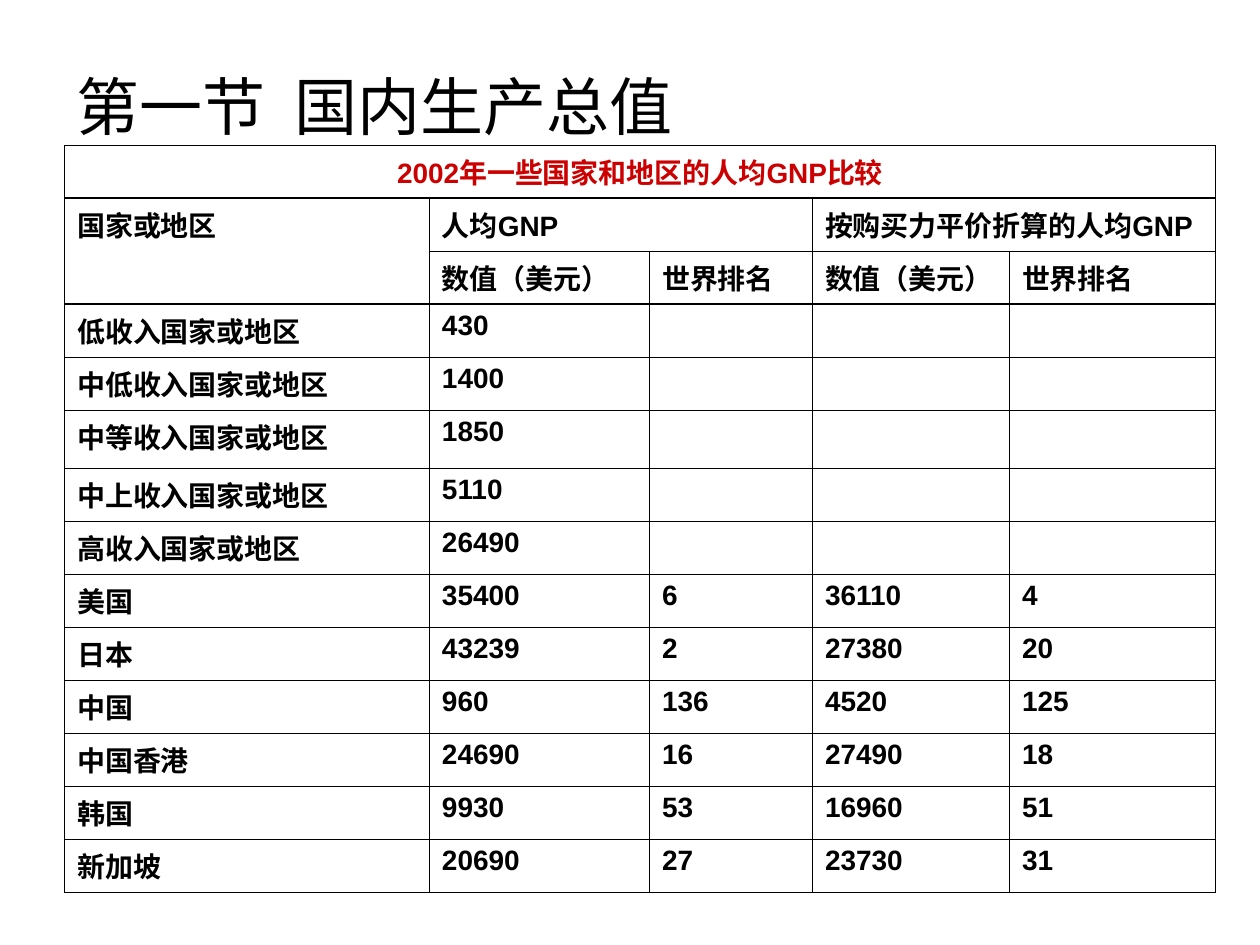
"""Build a slide with a table comparing GNP per capita across regions in 2002."""
from dataclasses import dataclass

from lxml.etree import SubElement
from pptx import Presentation
from pptx.dml.color import RGBColor
from pptx.enum.text import MSO_ANCHOR as Anchor, PP_ALIGN as Align
from pptx.oxml.ns import qn
from pptx.util import Emu, Inches, Pt

COLORS = {"text": "000000", "heading": "CC0000", "line": "000000"}
FONT = "Arial"
SLIDE_W, SLIDE_H = Inches(10), Inches(7.5)
COL_SHARES = (28.95, 17.48, 12.93, 15.63, 16.35)
ROW_SHARES = (*[5.61] * 5, 6.13, *[5.61] * 8)
HAIR, THIN, THICK = 0.34, 0.45, 0.96


@dataclass(frozen=True)
class Span:
    row: int
    col: int
    rows: int = 1
    cols: int = 1


@dataclass(frozen=True)
class Region:
    name: str
    gnp: str
    rank: str = ""
    ppp_gnp: str = ""
    ppp_rank: str = ""

    def cells(self) -> tuple[str, ...]:
        return self.name, self.gnp, self.rank, self.ppp_gnp, self.ppp_rank


HEADER = (
    ("2002年一些国家和地区的人均GNP比较", "", "", "", ""),
    ("国家或地区", "人均GNP", "", "按购买力平价折算的人均GNP", ""),
    ("", "数值（美元）", "世界排名", "数值（美元）", "世界排名"),
)
SPANS = (Span(0, 0, cols=5), Span(1, 0, rows=2), Span(1, 1, cols=2), Span(1, 3, cols=2))
REGIONS = (
    Region("低收入国家或地区", "430"),
    Region("中低收入国家或地区", "1400"),
    Region("中等收入国家或地区", "1850"),
    Region("中上收入国家或地区", "5110"),
    Region("高收入国家或地区", "26490"),
    Region("美国", "35400", "6", "36110", "4"),
    Region("日本", "43239", "2", "27380", "20"),
    Region("中国", "960", "136", "4520", "125"),
    Region("中国香港", "24690", "16", "27490", "18"),
    Region("韩国", "9930", "53", "16960", "51"),
    Region("新加坡", "20690", "27", "23730", "31"),
)


def across(share: float) -> Emu:
    """Turn a percentage of the slide's width into a length."""
    return Emu(round(SLIDE_W * share / 100))


def down(share: float) -> Emu:
    """Turn a percentage of the slide's height into a length."""
    return Emu(round(SLIDE_H * share / 100))


def write(tf, text: str, *, size: float, color: str = "text", bold: bool = False,
          align: Align = Align.LEFT, hanging: float = 0) -> None:
    """Write one formatted paragraph into a text frame."""
    p = tf.paragraphs[0]
    p.alignment = align
    if hanging:
        pPr = p._p.get_or_add_pPr()
        pPr.set("marL", str(across(hanging)))
        pPr.set("indent", str(-across(hanging)))
    r = p.add_run()
    r.text = text
    r.font.name, r.font.size, r.font.bold = FONT, Pt(size), bold
    r.font.color.rgb = RGBColor.from_string(COLORS[color])


def rule_width(index: int) -> float:
    """Return the weight of the horizontal rule above the given row."""
    if index in (0, len(ROW_SHARES)):
        return HAIR
    return THICK if index in (1, len(HEADER)) else THIN


def set_borders(cell, top: float, bottom: float) -> None:
    """Draw the four borders of a cell."""
    tcPr = cell._tc.get_or_add_tcPr()
    for side, width in (("L", HAIR), ("R", HAIR), ("T", top), ("B", bottom)):
        ln = SubElement(tcPr, qn(f"a:ln{side}"), w=str(Pt(width)))
        fill = SubElement(ln, qn("a:solidFill"))
        SubElement(fill, qn("a:srgbClr"), val=COLORS["line"])


def add_title(s, text: str) -> None:
    """Add the slide's title."""
    tf = s.shapes.add_textbox(across(5.13), down(4.87), across(90), down(12.53)).text_frame
    tf.word_wrap = True
    tf.vertical_anchor = Anchor.MIDDLE
    write(tf, text, size=36)


def add_gnp_table(s) -> None:
    """Add the table with its merged header and one row per region."""
    rows = (*HEADER, *(region.cells() for region in REGIONS))
    tbl = s.shapes.add_table(
        len(rows), len(COL_SHARES), across(5.13), down(15.37),
        across(sum(COL_SHARES)), down(sum(ROW_SHARES))).table
    tbl.first_row = tbl.horz_banding = False
    for column, share in zip(tbl.columns, COL_SHARES):
        column.width = across(share)
    for row, share in zip(tbl.rows, ROW_SHARES):
        row.height = down(share)
    for span in SPANS:
        end = tbl.cell(span.row + span.rows - 1, span.col + span.cols - 1)
        tbl.cell(span.row, span.col).merge(end)
    for i, texts in enumerate(rows):
        for j, text in enumerate(texts):
            cell = tbl.cell(i, j)
            height = cell.span_height if cell.is_merge_origin else 1
            set_borders(cell, rule_width(i), rule_width(i + height))
            cell.fill.background()
            if text:
                write(cell.text_frame, text, size=16, bold=True, hanging=3.8,
                      color="text" if i else "heading",
                      align=Align.LEFT if i else Align.CENTER)


def main() -> None:
    """Build and save the presentation."""
    prs = Presentation()
    prs.slide_width, prs.slide_height = SLIDE_W, SLIDE_H
    s = prs.slides.add_slide(prs.slide_layouts[6])
    add_title(s, "第一节  国内生产总值")
    add_gnp_table(s)
    prs.save("out.pptx")


if __name__ == "__main__":
    main()
